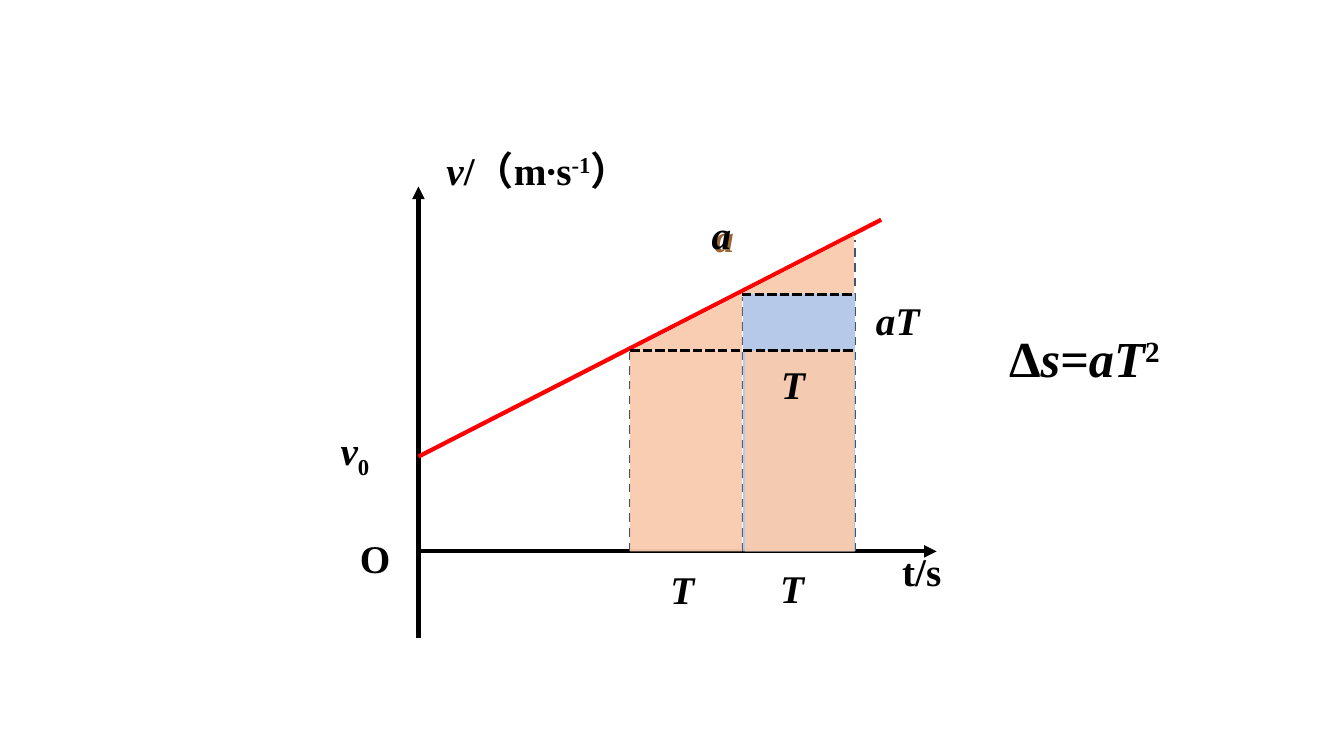
from lxml.etree import SubElement
from pptx import Presentation
from pptx.dml.color import RGBColor
from pptx.enum.dml import MSO_LINE_DASH_STYLE as Dash
from pptx.enum.shapes import MSO_CONNECTOR as Link, MSO_SHAPE as Shape
from pptx.oxml.ns import qn
from pptx.util import Inches, Pt

BLACK = RGBColor(0x00, 0x00, 0x00)
RED = RGBColor(0xFF, 0x00, 0x00)
SLATE = RGBColor(0x44, 0x54, 0x6A)
PEACH = RGBColor(0xF8, 0xCB, 0xAD)
BLUE = RGBColor(0xB4, 0xC7, 0xE7)

deck = Presentation()
deck.slide_width, deck.slide_height = Inches(13.33), Inches(7.5)
slide = deck.slides.add_slide(deck.slide_layouts[6])
shapes = slide.shapes

# Grid: the v axis, three times one step T apart, and speeds one step aT apart
AXIS, BASE = 4.15, 5.47
STEP, RISE = 1.11, 0.57
T1, T2, T3 = [6.25 + STEP * i for i in range(3)]
V1, V2, V3 = [3.48 - RISE * i for i in range(3)]


def draw_line(x1, y1, x2, y2, color, width, dash=None, arrow=False):
    line = shapes.add_connector(Link.STRAIGHT, *map(Inches, (x1, y1, x2, y2)))
    line.line.color.rgb = color
    line.line.width = Pt(width)
    if dash:
        line.line.dash_style = dash
    if arrow:
        SubElement(line.line._get_or_add_ln(), qn("a:tailEnd"), type="triangle")
    SubElement(line._element.spPr, qn("a:effectLst"))


def add_label(x, y, wide, high, runs, size=28):
    """Add a bold label; each run is (text, italic, baseline percent)."""
    box = shapes.add_textbox(*map(Inches, (x, y, wide, high)))
    box.text_frame.word_wrap = True
    par = box.text_frame.paragraphs[0]
    for text, slant, shift in runs:
        run = par.add_run()
        run.text = text
        font = run.font
        font.name, font.size, font.bold = "Times New Roman", Pt(size), True
        font.italic = slant
        font.color.rgb = BLACK
        if shift:
            run._r.get_or_add_rPr().set("baseline", str(shift * 1000))
    return box


# Axes, speed line and time marks
draw_line(AXIS, 6.33, AXIS, 1.85, BLACK, 3, arrow=True)
draw_line(AXIS, BASE, 9.29, BASE, BLACK, 3, arrow=True)
draw_line(AXIS, 4.53, 8.74, 2.18, RED, 3)
for x, top in ((T1, V1), (T2, 2.95), (T3 + 0.01, 2.38)):
    draw_line(x, BASE, x, top, SLATE, 1.5, Dash.DASH)

# Areas under the speed line, from back to front
areas = (
    (Shape.RECTANGLE, T1, V1, STEP, BASE - V1, PEACH),
    (Shape.RECTANGLE, T2 + 0.01, V2, STEP, BASE - V2, BLUE),
    (Shape.RIGHT_TRIANGLE, T1, V2, STEP, RISE, PEACH),
    (Shape.RECTANGLE, T2 + 0.03, V1, STEP - 0.03, BASE - V1, PEACH),
    (Shape.RIGHT_TRIANGLE, T2, V3, STEP, RISE, PEACH),
)
for kind, x, y, wide, high, color in areas:
    area = shapes.add_shape(kind, *map(Inches, (x, y, wide, high)))
    area.shadow.inherit = False
    area.fill.solid()
    area.fill.fore_color.rgb = color
    tint = area._element.spPr.find(qn("a:solidFill"))[0]
    SubElement(tint, qn("a:alpha"), val="95000")
    area.line.fill.background()
    if kind == Shape.RIGHT_TRIANGLE:
        area._element.spPr.xfrm.set("flipH", "1")

# Speed levels
draw_line(T1, V1, T3, V1, BLACK, 2.25, Dash.SQUARE_DOT)
draw_line(T2, V2 + 0.01, T3, V2 + 0.01, BLACK, 2.25, Dash.SQUARE_DOT)

# Labels
unit = add_label(4.33, 1.17, 2.88, 0.98, [
    ("v", True, 0), ("/（m∙s", False, 0), ("-1", False, 30), ("）", False, 0)])
unit.text_frame.paragraphs[0].line_spacing = 1.5
add_label(3.28, 4.18, 1.16, 0.78, [("v", True, 0), ("0", False, -25)])
add_label(3.47, 5.25, 0.69, 0.78, [("O", False, 0)])
add_label(8.85, 5.38, 0.83, 0.78, [("t/s", False, 0)])
for x, y, text in ((6.55, 5.56, "T"), (7.64, 5.55, "T"),
                   (7.65, 3.53, "T"), (8.59, 2.89, "aT")):
    add_label(x, y, 1.2, 0.57, [(text, True, 0)])

slope = add_label(6.96, 2.04, 0.93, 0.78, [("a", True, 0)])
glow = SubElement(slope._element.spPr, qn("a:effectLst"))
shade = SubElement(glow, qn("a:outerShdw"), dist="36000", dir="2700000")
SubElement(shade, qn("a:srgbClr"), val="996633")

add_label(9.91, 3.2, 1.73, 0.71, [
    ("Δ", False, 0), ("s", True, 0), ("=", False, 0),
    ("aT", True, 0), ("2", False, 30)], size=36)

deck.save("out.pptx")
